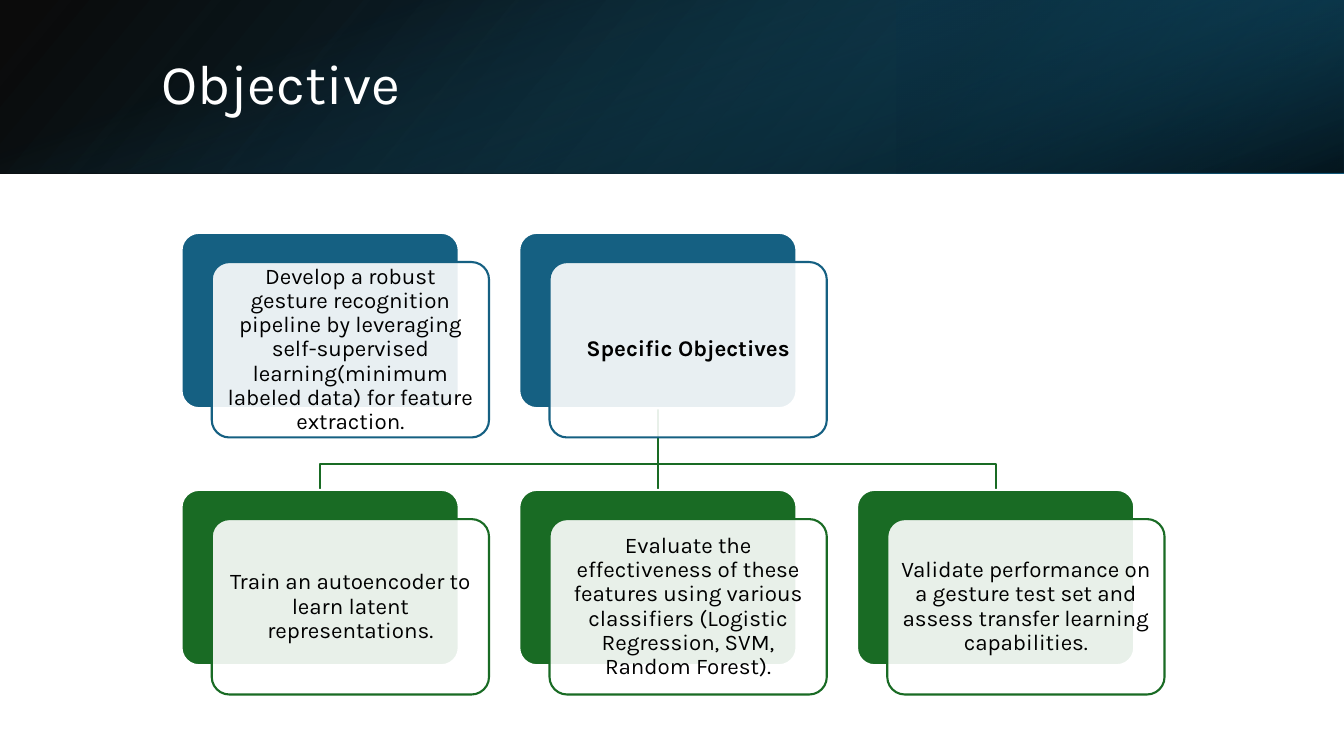
from dataclasses import dataclass

from pptx import Presentation
from pptx.dml.color import RGBColor
from pptx.enum.shapes import MSO_CONNECTOR, MSO_SHAPE
from pptx.enum.text import MSO_ANCHOR as ANCHOR, PP_ALIGN as ALIGN
from pptx.oxml import parse_xml
from pptx.oxml.ns import nsdecls, qn
from pptx.oxml.xmlchemy import OxmlElement
from pptx.util import Emu, Pt

PX = 9144  # 100 px to the inch
FONT = "Karla"
COLORS = {
    "black": "000000",
    "white": "FFFFFF",
    "blue": "156082",
    "green": "196B24",
    "navy": "104862",
    "deep": "0B3041",
}
SLIDE_W, SLIDE_H, BAND_H = 1333, 750, 172
CARD_W, CARD_H = 275, 174
COL_X, COL_STEP = 180, 335
ROW_Y = (231, 486)
FRONT_DX, FRONT_DY = 30, 29
ELBOW_Y = 460
LINE_W = 1.5


@dataclass
class Stop:
    pos: int
    color: str
    alpha: int


@dataclass
class Layer:
    x: int
    y: int
    w: int
    h: int
    rot: int
    flip: bool
    angle: int
    stops: tuple[Stop, Stop]


@dataclass
class Card:
    row: int
    col: int
    color: str
    text: str
    bold: bool = False


LAYERS = [
    Layer(0, 0, SLIDE_W, BAND_H, 0, True, 140,
          (Stop(0, "black", 96), Stop(100, "navy", 100))),
    Layer(889, 0, 444, BAND_H, 180, True, 320,
          (Stop(19, "deep", 68), Stop(100, "blue", 79))),
    Layer((SLIDE_W - BAND_H) // 2, (BAND_H - SLIDE_W) // 2, BAND_H, SLIDE_W, 90, False, 340,
          (Stop(23, "blue", 0), Stop(99, "black", 74))),
]

GOAL = Card(0, 0, "blue", "Develop a robust gesture recognition pipeline by leveraging "
            "self-supervised learning(minimum labeled data) for feature extraction.")
PARENT = Card(0, 1, "blue", "Specific Objectives", bold=True)
CHILDREN = [
    Card(1, 0, "green", "Train an autoencoder to learn latent representations."),
    Card(1, 1, "green", "Evaluate the effectiveness of these features using various "
         "classifiers (Logistic Regression, SVM, Random Forest)."),
    Card(1, 2, "green", "Validate performance on a gesture test set and assess "
         "transfer learning capabilities."),
]


def px(n: float) -> Emu:
    return Emu(round(n * PX))


def rgb(name: str) -> RGBColor:
    return RGBColor.from_string(COLORS[name])


def add_run(p, text: str, size: int, color: str, bold: bool = False) -> None:
    p.line_spacing = 0.9
    r = p.add_run()
    r.text = text
    r.font.name, r.font.size, r.font.bold = FONT, Pt(size), bold
    r.font.color.rgb = rgb(color)


def add_layer(slide, layer: Layer) -> None:
    sp = slide.shapes.add_shape(MSO_SHAPE.RECTANGLE, px(layer.x), px(layer.y),
                                px(layer.w), px(layer.h))
    sp.shadow.inherit = False
    sp.rotation = layer.rot
    sp.line.fill.background()
    sp.fill.gradient()
    spPr = sp._element.spPr
    if layer.flip:
        spPr.find(qn("a:xfrm")).set("flipH", "1")
    stops = "".join(
        f'<a:gs pos="{s.pos * 1000}"><a:srgbClr val="{COLORS[s.color]}">'
        f'<a:alpha val="{s.alpha * 1000}"/></a:srgbClr></a:gs>' for s in layer.stops)
    spPr.replace(spPr.find(qn("a:gradFill")), parse_xml(
        f'<a:gradFill rotWithShape="1" {nsdecls("a")}><a:gsLst>{stops}</a:gsLst>'
        f'<a:lin ang="{layer.angle * 60000}" scaled="0"/></a:gradFill>'))


def add_panel(slide, x: int, y: int, fill: str, line: str):
    sp = slide.shapes.add_shape(MSO_SHAPE.ROUNDED_RECTANGLE, px(x), px(y),
                                px(CARD_W), px(CARD_H))
    sp.shadow.inherit = False
    sp.adjustments[0] = 0.1
    sp.fill.solid()
    sp.fill.fore_color.rgb = rgb(fill)
    sp.line.color.rgb = rgb(line)
    sp.line.width = Pt(LINE_W)
    return sp


def add_card(slide, card: Card):
    """Draw the coloured back panel and the text panel; return the back one."""
    x, y = COL_X + card.col * COL_STEP, ROW_Y[card.row]
    back = add_panel(slide, x, y, card.color, "white")
    front = add_panel(slide, x + FRONT_DX, y + FRONT_DY, "white", card.color)
    alpha = OxmlElement("a:alpha")
    alpha.set("val", "90000")
    front._element.spPr.find(qn("a:solidFill"))[0].append(alpha)
    tf = front.text_frame
    tf.word_wrap = True
    tf.vertical_anchor = ANCHOR.MIDDLE
    tf.margin_left = tf.margin_right = tf.margin_top = tf.margin_bottom = px(7)
    p = tf.paragraphs[0]
    p.alignment = ALIGN.CENTER
    add_run(p, card.text, 16, "black", card.bold)
    return back


def add_branch(slide, parent, child):
    """Link two panels: straight when aligned, otherwise with an elbow."""
    x1, y1 = parent.left + parent.width // 2, parent.top + parent.height
    x2, y2 = child.left + child.width // 2, child.top
    if x1 == x2:
        link = slide.shapes.add_connector(MSO_CONNECTOR.STRAIGHT, x1, y1, x2, y2)
        link.begin_connect(parent, 0 + 2)
        link.end_connect(child, 0)
    else:
        builder = slide.shapes.build_freeform(x1, y1)
        builder.add_line_segments([(x1, px(ELBOW_Y)), (x2, px(ELBOW_Y)), (x2, y2)], close=False)
        link = builder.convert_to_shape()
        link.fill.background()
    link.line.color.rgb = rgb("green")
    link.line.width = Pt(LINE_W)
    link._element.spPr.append(OxmlElement("a:effectLst"))
    return link


def main() -> None:
    prs = Presentation()
    prs.slide_width, prs.slide_height = px(SLIDE_W), px(SLIDE_H)
    slide = prs.slides.add_slide(prs.slide_layouts[6])

    # Header band and title
    for layer in LAYERS:
        add_layer(slide, layer)
    tf = slide.shapes.add_textbox(px(150), px(38), px(1098), px(96)).text_frame
    tf.word_wrap = True
    tf.vertical_anchor = ANCHOR.MIDDLE
    add_run(tf.paragraphs[0], "Objective", 40, "white")

    # Cards
    goal = add_card(slide, GOAL)
    parent = add_card(slide, PARENT)
    children = [add_card(slide, card) for card in CHILDREN]

    # Branches, placed behind the cards
    for child in children:
        goal._element.addprevious(add_branch(slide, parent, child)._element)

    prs.save("out.pptx")


if __name__ == "__main__":
    main()
